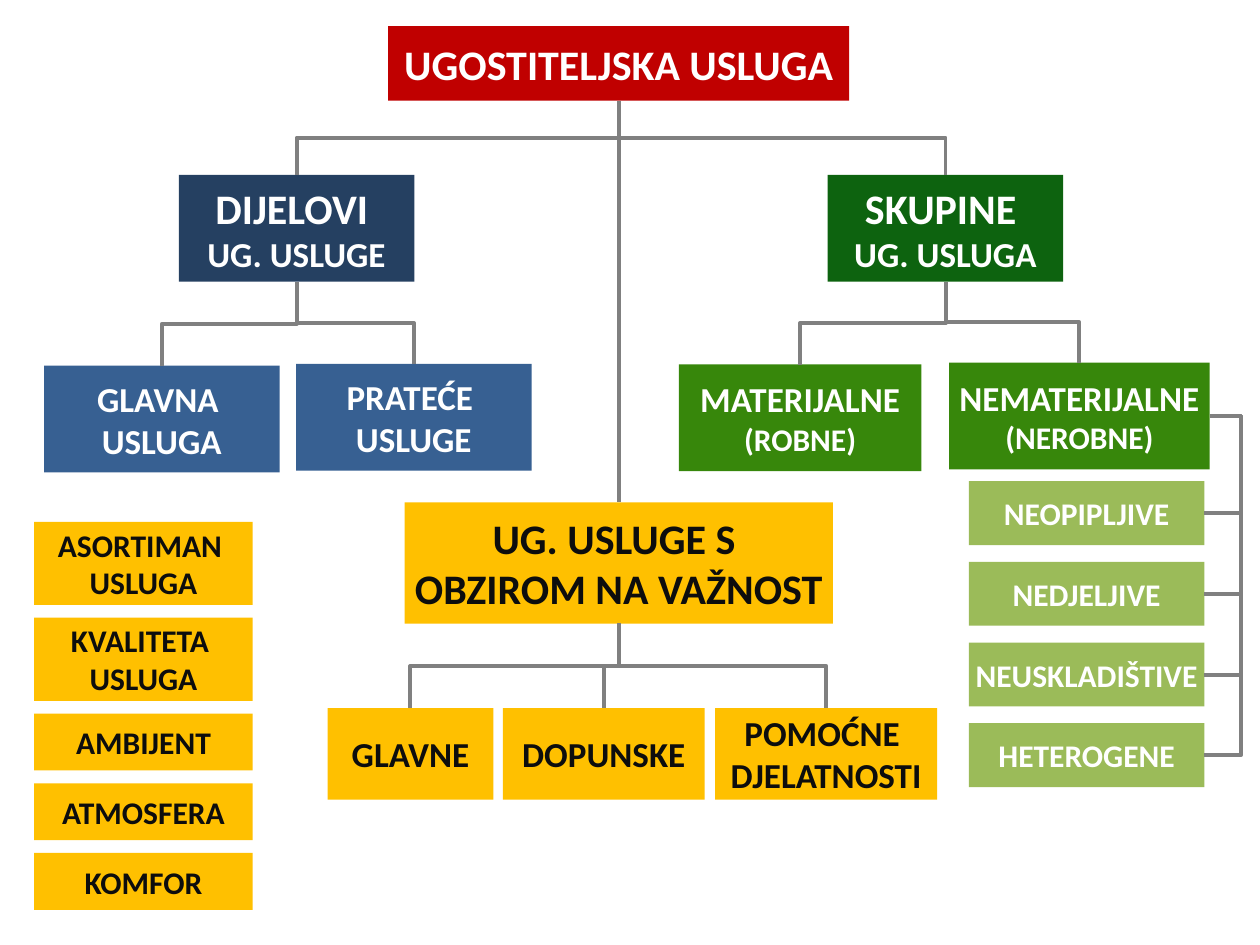
from pptx import Presentation
from pptx.dml.color import RGBColor
from pptx.enum.shapes import MSO_CONNECTOR, MSO_SHAPE
from pptx.enum.text import MSO_ANCHOR, PP_ALIGN
from pptx.oxml.ns import qn
from pptx.util import Pt
from lxml import etree

WHITE, BLACK, GRAY = "FFFFFF", "0D0D0D", "808080"
NAVY, BLUE, RED = "254061", "376092", "C00000"
FOREST, GREEN, LIME, GOLD = "0D630F", "37870B", "9BBB59", "FFC000"


def tint(code):
    return RGBColor.from_string(code)


def add_box(slide, left, top, width, height, lines, fill):
    """Filled box with centred text; lines are (text, size) pairs."""
    box = slide.shapes.add_shape(
        MSO_SHAPE.RECTANGLE, Pt(left), Pt(top), Pt(width), Pt(height))
    box.shadow.inherit = False
    box.fill.solid()
    box.fill.fore_color.rgb = tint(fill)
    box.line.fill.background()
    frame = box.text_frame
    frame.word_wrap = False
    frame.vertical_anchor = MSO_ANCHOR.MIDDLE
    for index, (text, size) in enumerate(lines):
        para = frame.add_paragraph() if index else frame.paragraphs[0]
        para.alignment = PP_ALIGN.CENTER
        run = para.add_run()
        run.text = text
        run.font.name = "Calibri"
        run.font.size = Pt(size)
        run.font.bold = True
        run.font.color.rgb = tint(BLACK if fill == GOLD else WHITE)
    return box


def add_line(slide, kind, x1, y1, x2, y2):
    line = slide.shapes.add_connector(kind, Pt(x1), Pt(y1), Pt(x2), Pt(y2))
    line.line.color.rgb = tint(GRAY)
    line.line.width = Pt(2.25)
    etree.SubElement(line._element.spPr, qn("a:effectLst"))
    return line


def foot(box):
    """Middle of the bottom edge, in points."""
    return (box.left + box.width / 2) / Pt(1), (box.top + box.height) / Pt(1)


def side(box):
    """Middle of the right edge, in points."""
    return (box.left + box.width) / Pt(1), (box.top + box.height / 2) / Pt(1)


def join(slide, head, kid):
    """Link the bottom of head to the top of kid."""
    x1, y1 = foot(head)
    x2, y2 = foot(kid)[0], kid.top / Pt(1)
    if abs(x1 - x2) < 0.5:
        add_line(slide, MSO_CONNECTOR.STRAIGHT, x1, y1, x1, y2)
        return
    # An elbow leaves sideways, so it is laid flat and turned about its centre
    midx, midy = (x1 + x2) / 2, (y1 + y2) / 2
    half, rise, turn = (y2 - y1) / 2, abs(x2 - x1) / 2, 90
    if x2 > x1:
        half, turn = -half, 270
    line = add_line(slide, MSO_CONNECTOR.ELBOW,
                    midx - half, midy - rise, midx + half, midy + rise)
    line._element.spPr.find(qn("a:xfrm")).set("rot", str(turn * 60000))


def add_tree(slide, left, top, head, kids):
    """Head box over its kids; each is (dx, dy, width, height, lines, fill)."""
    boxes = [add_box(slide, left + dx, top + dy, *rest)
             for dx, dy, *rest in [head] + kids]
    for kid in boxes[1:]:
        join(slide, boxes[0], kid)
    return boxes


def add_stack(slide, left, top, width, gap, items, fill):
    """Column of boxes; items are (height, words)."""
    boxes = []
    for height, words in items:
        lines = [(word, 18) for word in words]
        boxes.append(add_box(slide, left, top, width, height, lines, fill))
        top += height + gap
    return boxes


def add_rail(slide, head, boxes, reach):
    """Links from the right side of head, out by reach, back to each box."""
    x1, y1 = side(head)
    for box in boxes:
        x2, y2 = side(box)
        line = add_line(slide, MSO_CONNECTOR.ELBOW, x1, y1, x2, y2)
        geom = line._element.spPr.find(qn("a:prstGeom"))
        stops = geom.find(qn("a:avLst"))
        if stops is None:
            stops = etree.SubElement(geom, qn("a:avLst"))
        bend = round(reach / (x2 - x1) * 100000)
        etree.SubElement(stops, qn("a:gd"), name="adj1", fmla=f"val {bend}")


def main():
    deck = Presentation()
    deck.slide_width, deck.slide_height = Pt(720), Pt(540)
    slide = deck.slides.add_slide(deck.slide_layouts[6])

    # Title
    title = add_box(slide, 221.8, 15, 263.5, 42.5,
                    [("UGOSTITELJSKA USLUGA", 24)], RED)

    # Parts of the service
    parts = add_tree(
        slide, 25.2, 100,
        (77, 0, 134.6, 61, [("DIJELOVI ", 24), ("UG. USLUGE", 20)], NAVY),
        [(0, 109, 134.6, 61, [("GLAVNA ", 20), ("USLUGA", 20)], BLUE),
         (144, 108, 134.6, 61, [("PRATEĆE ", 20), ("USLUGE", 20)], BLUE)])

    # Groups of services
    groups = add_tree(
        slide, 388, 100,
        (85, 0, 134.6, 61, [("SKUPINE ", 24), ("UG. USLUGA", 20)], FOREST),
        [(0, 108.3, 138.5, 61, [("MATERIJALNE", 20), ("(ROBNE)", 18)], GREEN),
         (154.4, 107.3, 148.8, 61,
          [("NEMATERIJALNE", 20), ("(NEROBNE)", 18)], GREEN)])

    # Services by importance
    ranks = add_tree(
        slide, 187.2, 287,
        (44, 0, 244.8, 69.3,
         [("UG. USLUGE S ", 24), ("OBZIROM NA VAŽNOST", 24)], GOLD),
        [(0, 117.6, 94.7, 52.4, [("GLAVNE", 20)], GOLD),
         (100.2, 117.6, 115.3, 52.4, [("DOPUNSKE", 20)], GOLD),
         (221.4, 117.6, 127, 52.4,
          [("POMOĆNE ", 20), ("DJELATNOSTI", 20)], GOLD)])

    for head in (parts[0], groups[0], ranks[0]):
        join(slide, title, head)

    # Traits of intangible services
    words = ["NEOPIPLJIVE", "NEDJELJIVE", "NEUSKLADIŠTIVE", "HETEROGENE"]
    traits = add_stack(slide, 553.7, 275, 134.6, 9.6,
                       [(36.5, [word]) for word in words], LIME)
    add_rail(slide, groups[2], traits, 18)

    # Qualities of the main service
    add_stack(slide, 19.6, 298.2, 124.9, 7.3,
              [(47.5, ["ASORTIMAN ", "USLUGA"]),
               (47.5, ["KVALITETA ", "USLUGA"]),
               (32.5, ["AMBIJENT"]),
               (32.5, ["ATMOSFERA"]),
               (32.5, ["KOMFOR"])], GOLD)

    deck.save("out.pptx")


if __name__ == "__main__":
    main()
